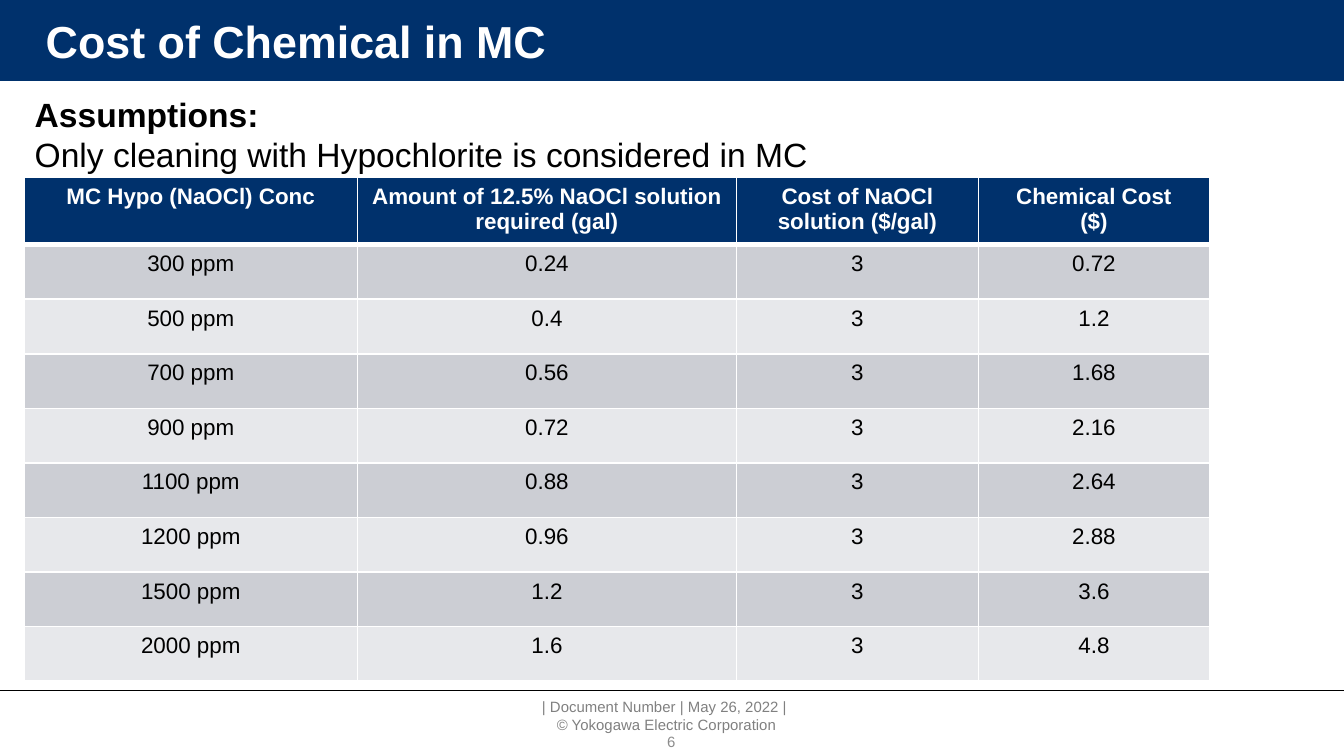
from dataclasses import dataclass

from lxml.etree import SubElement
from pptx import Presentation
from pptx.dml.color import RGBColor
from pptx.enum.shapes import MSO_CONNECTOR, MSO_SHAPE
from pptx.enum.text import MSO_ANCHOR, MSO_AUTO_SIZE, PP_ALIGN
from pptx.oxml.ns import qn
from pptx.slide import Slide
from pptx.table import _Cell as Cell
from pptx.text.text import TextFrame
from pptx.util import Inches, Pt

NAVY, WHITE, BLACK, GREY = "00316C", "FFFFFF", "000000", "808080"
BANDS = ("CCCED4", "E7E8EB")
SLIDE_WIDTH = 10
SLIDE_HEIGHT = SLIDE_WIDTH * 9 / 16

HEADINGS = (
    "MC Hypo (NaOCl) Conc",
    "Amount of 12.5% NaOCl solution required (gal)",
    "Cost of NaOCl solution ($/gal)",
    "Chemical Cost\n($)",
)
COLUMN_WIDTHS = (2.48, 2.82, 1.8, 1.72)
TABLE_LEFT, TABLE_TOP, TABLE_HEIGHT = 0.18, 1.32, 3.74
HEADING_HEIGHT = 0.49
PRICE_PER_GALLON = 3


@dataclass
class Dose:
    ppm: int
    gallons: float

    def cells(self) -> tuple[str, ...]:
        cost = self.gallons * PRICE_PER_GALLON
        return f"{self.ppm} ppm", f"{self.gallons:g}", f"{PRICE_PER_GALLON}", f"{cost:g}"


@dataclass
class Style:
    size: float
    color: str
    bold: bool = False
    align: PP_ALIGN = PP_ALIGN.CENTER


@dataclass
class Label:
    text: str
    left: float
    top: float
    width: float
    height: float
    style: Style
    margin: float = 0
    anchor: MSO_ANCHOR = MSO_ANCHOR.MIDDLE
    wrap: bool = True


DOSES = (
    Dose(300, 0.24),
    Dose(500, 0.4),
    Dose(700, 0.56),
    Dose(900, 0.72),
    Dose(1100, 0.88),
    Dose(1200, 0.96),
    Dose(1500, 1.2),
    Dose(2000, 1.6),
)


def rgb(color: str) -> RGBColor:
    return RGBColor.from_string(color)


def write(frame: TextFrame, text: str, style: Style) -> None:
    frame.text = text
    for paragraph in frame.paragraphs:
        paragraph.alignment = style.align
        for run in paragraph.runs:
            run.font.name = "Arial"
            run.font.size = Pt(style.size)
            run.font.bold = style.bold
            run.font.color.rgb = rgb(style.color)


def add_label(slide: Slide, label: Label) -> TextFrame:
    box = slide.shapes.add_textbox(
        Inches(label.left), Inches(label.top), Inches(label.width), Inches(label.height)
    )
    frame = box.text_frame
    frame.word_wrap = label.wrap
    frame.vertical_anchor = label.anchor
    frame.margin_left = frame.margin_right = Inches(label.margin)
    frame.margin_top = frame.margin_bottom = Inches(label.margin / 2)
    write(frame, label.text, label.style)
    return frame


def add_rule(slide: Slide, top: float, color: str) -> None:
    rule = slide.shapes.add_connector(
        MSO_CONNECTOR.STRAIGHT, 0, Inches(top), Inches(SLIDE_WIDTH), Inches(top)
    )
    rule.line.color.rgb = rgb(color)
    rule.line.width = Pt(0.75)
    SubElement(rule.element.spPr, qn("a:effectLst"))


def add_title(slide: Slide, text: str) -> None:
    title = slide.shapes.title
    title.left, title.top = Inches(0.24), Inches(0.08)
    title.width, title.height = Inches(8.69), Inches(0.45)
    title.text_frame.vertical_anchor = MSO_ANCHOR.MIDDLE
    title.text_frame.auto_size = MSO_AUTO_SIZE.NONE
    write(title.text_frame, text, Style(24, WHITE, True, PP_ALIGN.LEFT))
    slide.shapes.element.append(title.element)


def add_header_bar(slide: Slide) -> None:
    bar = slide.shapes.add_shape(
        MSO_SHAPE.RECTANGLE, 0, 0, Inches(SLIDE_WIDTH), Inches(0.61)
    )
    bar.shadow.inherit = False
    bar.fill.solid()
    bar.fill.fore_color.rgb = rgb(NAVY)
    bar.line.fill.background()


def set_borders(cell: Cell, top: float, bottom: float) -> None:
    properties = cell._tc.get_or_add_tcPr()
    widths = {"a:lnL": 1, "a:lnR": 1, "a:lnT": top, "a:lnB": bottom}
    for tag, width in widths.items():
        border = SubElement(properties, qn(tag), w=str(Pt(width)))
        fill = SubElement(border, qn("a:solidFill"))
        SubElement(fill, qn("a:srgbClr"), val=WHITE)


def add_cost_table(slide: Slide) -> None:
    rows = [HEADINGS, *(dose.cells() for dose in DOSES)]
    table = slide.shapes.add_table(
        len(rows), len(HEADINGS), Inches(TABLE_LEFT), Inches(TABLE_TOP),
        Inches(sum(COLUMN_WIDTHS)), Inches(TABLE_HEIGHT),
    ).table
    for column, width in zip(table.columns, COLUMN_WIDTHS):
        column.width = Inches(width)
    dose_height = (TABLE_HEIGHT - HEADING_HEIGHT) / len(DOSES)
    for r, texts in enumerate(rows):
        heading = r == 0
        table.rows[r].height = Inches(HEADING_HEIGHT if heading else dose_height)
        style = Style(12, WHITE if heading else BLACK, heading)
        for c, text in enumerate(texts):
            cell = table.cell(r, c)
            write(cell.text_frame, text, style)
            set_borders(cell, 3 if r == 1 else 1, 3 if heading else 1)
            cell.fill.solid()
            cell.fill.fore_color.rgb = rgb(NAVY if heading else BANDS[(r - 1) % 2])


def main() -> None:
    deck = Presentation()
    deck.slide_width, deck.slide_height = Inches(SLIDE_WIDTH), Inches(SLIDE_HEIGHT)
    slide = deck.slides.add_slide(deck.slide_layouts[5])

    add_label(slide, Label(
        "| Document Number | May 26, 2022 | \n© Yokogawa Electric Corporation",
        2.4, 5.19, 5.12, 0.27, Style(8, GREY),
    ))
    add_rule(slide, 5.14, BLACK)
    add_header_bar(slide)
    add_rule(slide, 0.61, WHITE)
    add_title(slide, "Cost of Chemical in MC")
    add_label(slide, Label("6", 3.83, 5.45, 2.33, 0.14, Style(8, "8C8C8C")))

    assumptions = add_label(slide, Label(
        "Assumptions:\nOnly cleaning with Hypochlorite is considered in MC",
        0.16, 0.65, 6.01, 0.71, Style(18, BLACK, align=PP_ALIGN.LEFT),
        margin=0.1, anchor=MSO_ANCHOR.TOP, wrap=False,
    ))
    assumptions.paragraphs[0].runs[0].font.bold = True
    add_cost_table(slide)

    deck.save("out.pptx")


if __name__ == "__main__":
    main()
